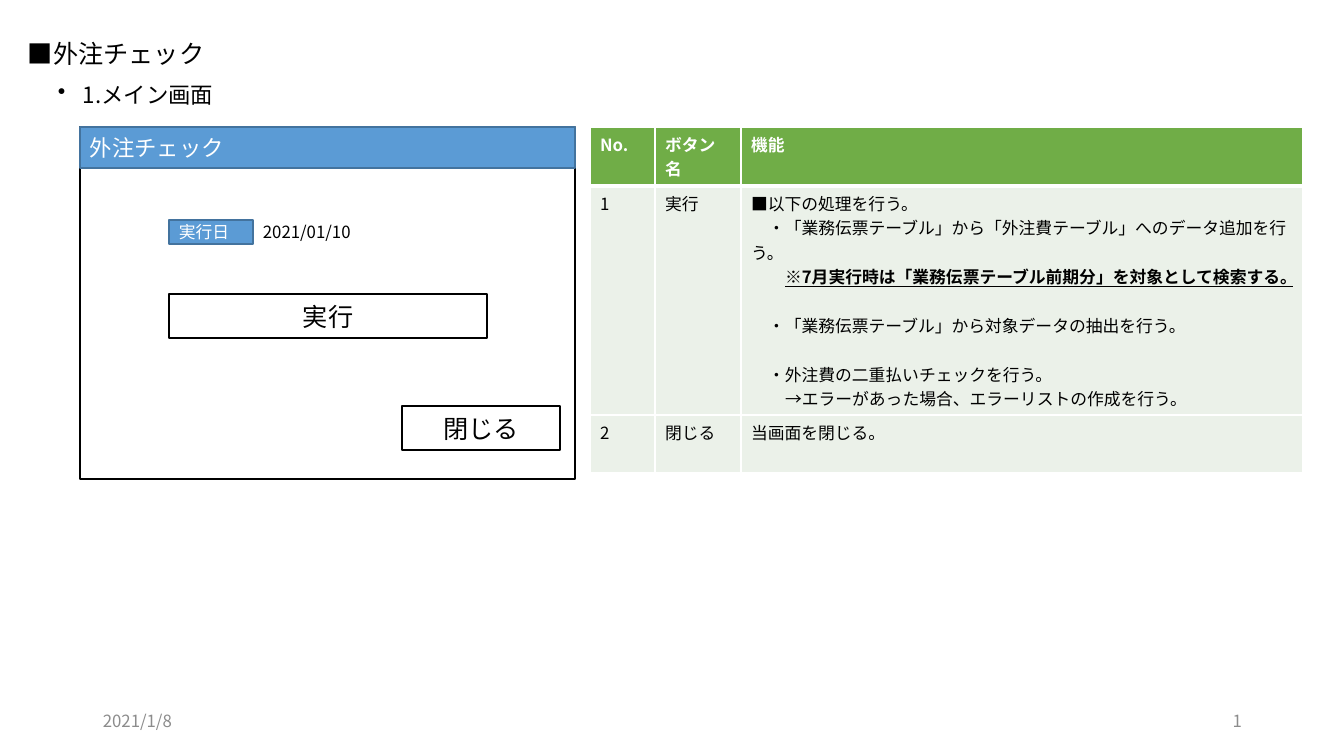
from dataclasses import dataclass

from lxml import etree
from pptx import Presentation
from pptx.dml.color import RGBColor
from pptx.enum.shapes import MSO_SHAPE
from pptx.enum.text import MSO_ANCHOR, PP_ALIGN
from pptx.oxml.ns import qn
from pptx.util import Pt

RECT = MSO_SHAPE.RECTANGLE
TOP, MIDDLE = MSO_ANCHOR.TOP, MSO_ANCHOR.MIDDLE
LEFT, CENTER, RIGHT = PP_ALIGN.LEFT, PP_ALIGN.CENTER, PP_ALIGN.RIGHT
SCALE = 914400 / 100.8
EM = 17  # one full-width character at the small size


@dataclass(frozen=True)
class Theme:
    """Colours, type sizes and font of the slide."""
    font: str = "Noto Sans CJK JP"
    black: str = "000000"
    white: str = "FFFFFF"
    grey: str = "8C8C8C"
    blue: str = "5B9BD5"
    edge: str = "43739E"
    green: str = "70AD47"
    pale: str = "EBF1E9"
    large: int = 18
    medium: int = 16
    small: int = 12
    gap: float = 17.5


THEME = Theme()


def px(length):
    """Turn pixels into EMU."""
    return round(length * SCALE)


def color(code):
    """Turn a hex code into a colour."""
    return RGBColor.from_string(code)


def write(para, text, size=THEME.small, ink=THEME.black, align=LEFT, bold=False,
          under=False, pitch=None, before=None, indent=0, hang=0, bullet=None):
    """Write text into a paragraph with the given format."""
    para.alignment = align
    if pitch:
        para.line_spacing = pitch
    if before:
        para.space_before = Pt(before)
    props = para._p.get_or_add_pPr()
    if indent or hang:
        props.set("marL", str(px(hang)))
        props.set("indent", str(px(indent - hang)))
    if bullet:
        etree.SubElement(props, qn("a:buChar"), char=bullet)
    run = para.add_run()
    run.text = text
    font = run.font
    font.name, font.size = THEME.font, Pt(size)
    font.bold, font.underline = bold, under
    font.color.rgb = color(ink)
    etree.SubElement(run._r.get_or_add_rPr(), qn("a:ea"), typeface=THEME.font)


def label(slide, box, text, anchor=MIDDLE, **style):
    """Place a text box."""
    frame = slide.shapes.add_textbox(*map(px, box)).text_frame
    frame.word_wrap = True
    frame.vertical_anchor = anchor
    write(frame.paragraphs[0], text, **style)


def block(slide, box, text="", fill=None, line=THEME.black, width=1, **style):
    """Place a rectangle, with or without text."""
    shape = slide.shapes.add_shape(RECT, *map(px, box))
    shape.shadow.inherit = False
    if fill:
        shape.fill.solid()
        shape.fill.fore_color.rgb = color(fill)
    else:
        shape.fill.background()
    shape.line.color.rgb = color(line)
    shape.line.width = Pt(width)
    if text:
        frame = shape.text_frame
        frame.word_wrap = True
        frame.vertical_anchor = MIDDLE
        write(frame.paragraphs[0], text, **style)


def heading(slide, box):
    """Place the title and the bullet below it."""
    x, y, w, h = box
    label(slide, (x, y, w, 30), "■外注チェック", size=THEME.large, pitch=0.9)
    label(slide, (x + 30, y + 39, w - 56, h - 39), "1.メイン画面", anchor=TOP,
          size=THEME.medium, pitch=0.9, hang=25, bullet="•")


def screen(slide, box):
    """Draw the main screen with its date and buttons."""
    x, y, w, h = box
    tint = dict(fill=THEME.blue, line=THEME.edge, ink=THEME.white)
    button = dict(width=1.5, size=THEME.large, align=CENTER)
    block(slide, box)
    block(slide, (x, y, w, 41), "外注チェック", size=THEME.medium, **tint)
    block(slide, (x + 89, y + 93, 84, 24), "実行日", **tint)
    label(slide, (x + 173, y + 93, 134, 24), "2021/01/10")
    block(slide, (x + 89, y + 167, 318, 44), "実行", **button)
    block(slide, (x + w - 173, y + h - 73, 158, 44), "閉じる", **button)


def cell_style(cell, fill, base):
    """Give a cell its white borders and its fill."""
    props = cell._tc.get_or_add_tcPr()
    for side, width in (("L", 1), ("R", 1), ("T", 1), ("B", base)):
        edge = etree.SubElement(props, qn("a:ln" + side), w=str(Pt(width)))
        paint = etree.SubElement(edge, qn("a:solidFill"))
        etree.SubElement(paint, qn("a:srgbClr"), val=THEME.white)
    cell.fill.solid()
    cell.fill.fore_color.rgb = color(fill)


def button_table(slide, box):
    """Build the table that tells what each button does."""
    steps = [
        ("■以下の処理を行う。", {}),
        ("・「業務伝票テーブル」から「外注費テーブル」へのデータ追加を行う。",
         dict(indent=EM)),
        ("※7月実行時は「業務伝票テーブル前期分」を対象として検索する。",
         dict(indent=2 * EM, bold=True, under=True)),
        ("・「業務伝票テーブル」から対象データの抽出を行う。",
         dict(indent=EM, before=THEME.gap)),
        ("・外注費の二重払いチェックを行う。", dict(indent=EM, before=THEME.gap)),
        ("→エラーがあった場合、エラーリストの作成を行う。", dict(indent=2 * EM)),
    ]
    rows = [("No.", "ボタン名", "機能"), ("1", "実行", steps),
            ("2", "閉じる", "当画面を閉じる。")]
    widths, heights = (65, 86, 562), (59, 229, 58)
    table = slide.shapes.add_table(len(rows), len(widths), *map(px, box)).table
    for column, width in zip(table.columns, widths):
        column.width = px(width)
    for r, (row, height) in enumerate(zip(rows, heights)):
        table.rows[r].height = px(height)
        head = r == 0
        base = dict(ink=THEME.white, bold=True) if head else {}
        for c, content in enumerate(row):
            cell = table.cell(r, c)
            cell_style(cell, THEME.green if head else THEME.pale, 3 if head else 1)
            lines = [(content, {})] if isinstance(content, str) else content
            frame = cell.text_frame
            for n, (text, style) in enumerate(lines):
                para = frame.add_paragraph() if n else frame.paragraphs[0]
                write(para, text, **{**base, **style})


def footer(slide, box):
    """Place the date and the page number."""
    x, y, w, h = box
    label(slide, (x, y, 302, h), "2021/1/8", ink=THEME.grey)
    label(slide, (x + w - 302, y, 302, h), "1", ink=THEME.grey, align=RIGHT)


def main():
    """Build the slide and save it."""
    deck = Presentation()
    deck.slide_width, deck.slide_height = px(1344), px(756)
    slide = deck.slides.add_slide(deck.slide_layouts[6])
    heading(slide, (18, 40, 1302, 653))
    screen(slide, (80, 127, 495, 352))
    button_table(slide, (590, 127, 713, 346))
    footer(slide, (93, 701, 1159, 40))
    deck.save("out.pptx")


main()
